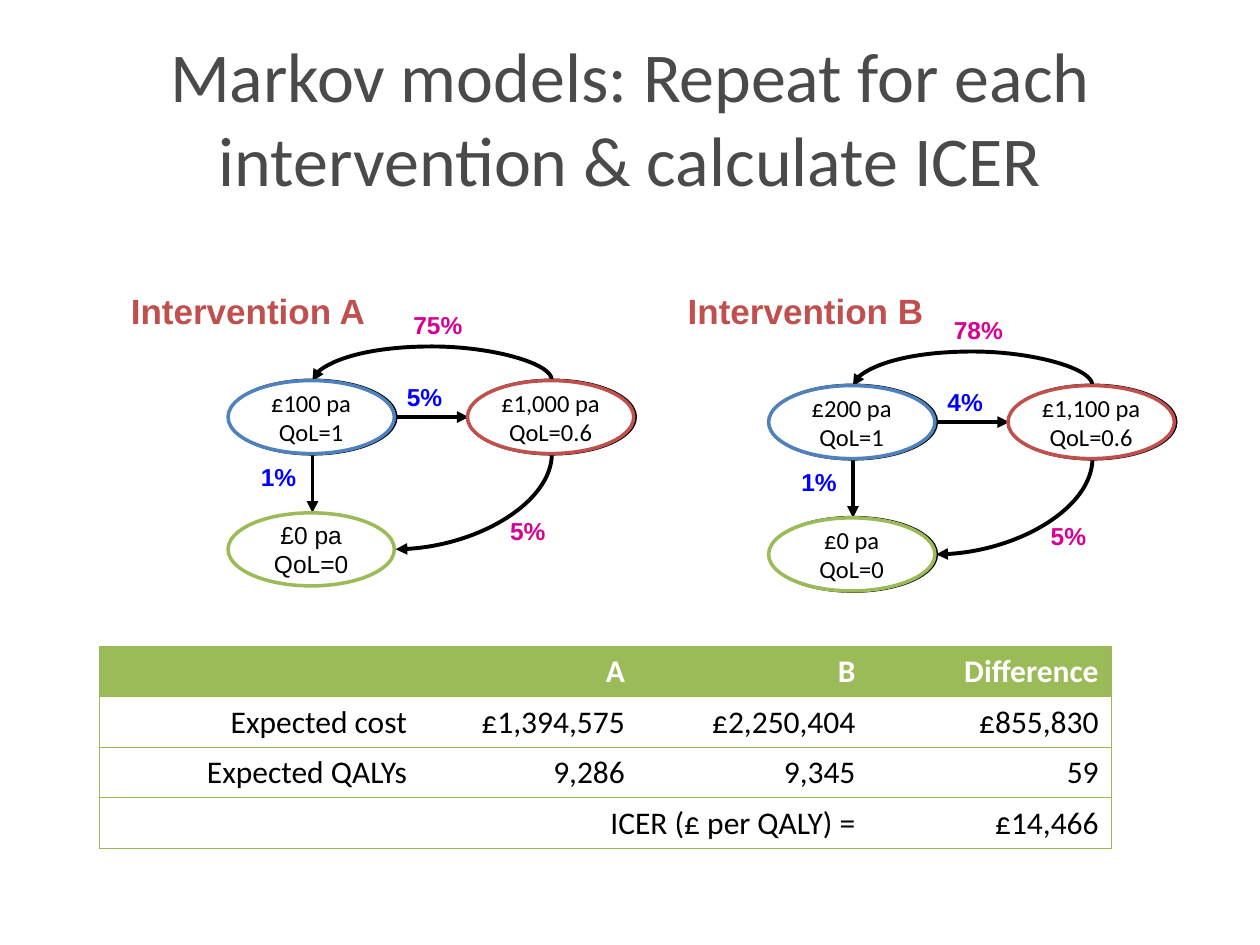
from dataclasses import dataclass
from pptx import Presentation
from pptx.dml.color import RGBColor
from pptx.enum.shapes import MSO_CONNECTOR as Link, MSO_SHAPE as Shape
from pptx.enum.text import MSO_ANCHOR as Anchor, PP_ALIGN as Align
from pptx.oxml import parse_xml
from pptx.oxml.ns import nsdecls, qn
from pptx.util import Inches, Pt


@dataclass(frozen=True)
class Theme:
    """Colours, fonts and type sizes."""
    title: str = "4A4A4A"
    black: str = "000000"
    white: str = "FFFFFF"
    blue: str = "4F81BD"
    red: str = "C0504D"
    green: str = "9BBB59"
    rule: str = "98B954"
    onward: str = "0000FF"
    back: str = "D60093"
    body: str = "Calibri"
    label: str = "Arial"
    big: int = 40
    head: int = 20
    cell: int = 18
    small: int = 14


T = Theme()
TITLE = "Markov models: Repeat for each intervention & calculate ICER"
MODELS = [
    dict(name="Intervention A", at=(1.82, 3.02), head=0.94, dead_font=T.label,
         well="£100 pa\nQoL=1", ill="£1,000 pa\nQoL=0.6", dead="£0 pa\nQoL=0",
         rates=("5%", "1%", "75%", "5%"), rims=("well", "ill")),
    dict(name="Intervention B", at=(6.11, 3.06), head=5.36, dead_font=T.body,
         well="£200 pa\nQoL=1", ill="£1,100 pa\nQoL=0.6", dead="£0 pa\nQoL=0",
         rates=("4%", "1%", "78%", "5%"), rims=("well", "ill", "dead")),
]
OVAL = (1.32, 0.58)
STATES = {"well": (0, 0, T.blue), "ill": (1.9, 0, T.red),
          "dead": (0, 1.05, T.green)}
# Left, top, width, alignment and colour of each rate, from the model's corner
RATES = [(1.31, -0.04, 0.48, Align.CENTER, T.onward),
         (0.15, 0.6, 0.48, Align.RIGHT, T.onward),
         (1.36, -0.61, 0.59, Align.CENTER, T.back),
         (2.13, 1.03, 0.48, Align.LEFT, T.back)]
TABLE = [["", "A", "B", "Difference"],
         ["Expected cost", "£1,394,575", "£2,250,404", "£855,830"],
         ["Expected QALYs", "9,286", "9,345", "59"],
         ["ICER (£ per QALY) =", "", "", "£14,466"]]
COLS, ROW = (2.54, 1.73, 1.83, 1.93), 0.4

deck = Presentation()
deck.slide_width, deck.slide_height = Inches(10), Inches(7.5)
slide = deck.slides.add_slide(deck.slide_layouts[6])
shapes = slide.shapes


def rgb(code):
    """Turn a hex code into a colour."""
    return RGBColor.from_string(code)


def write(frame, text, size=T.small, color=T.black, font=T.body, bold=False,
          align=Align.CENTER, anchor=Anchor.MIDDLE, wrap=None):
    """Fill a text frame with one formatted paragraph."""
    if wrap is not None:
        frame.word_wrap = wrap
    frame.vertical_anchor = anchor
    para = frame.paragraphs[0]
    para.text, para.alignment = text.replace("\n", "\v"), align
    for run in para.runs:
        run.font.size, run.font.name, run.font.bold = Pt(size), font, bold
        run.font.color.rgb = rgb(color)


def label(text, x, y, w, h, **style):
    """Add a text box."""
    box = shapes.add_textbox(*map(Inches, (x, y, w, h)))
    write(box.text_frame, text, **style)


def oval(x, y, line, width, text="", **style):
    """Add a white state ellipse."""
    item = shapes.add_shape(Shape.OVAL, *map(Inches, (x, y, *OVAL)))
    item.shadow.inherit = False
    item.fill.solid()
    item.fill.fore_color.rgb = rgb(T.white)
    item.line.color.rgb, item.line.width = rgb(line), Pt(width)
    if text:
        write(item.text_frame, text, wrap=False, **style)


def arrow(x1, y1, x2, y2, kind=Link.STRAIGHT, form=None, turn=0, bend=None):
    """Add an arrow; form, turn and bend shape a curved one."""
    item = shapes.add_connector(kind, *map(Inches, (x1, y1, x2, y2)))
    item.line.color.rgb, item.line.width = rgb(T.black), Pt(2.25)
    props = item._element.spPr
    line = props.find(qn("a:ln"))
    line.append(parse_xml(f'<a:tailEnd {nsdecls("a")} type="triangle"/>'))
    props.append(parse_xml(f'<a:effectLst {nsdecls("a")}/>'))
    if form:
        props.find(qn("a:xfrm")).set("rot", str(turn * 60000))
        geom = props.find(qn("a:prstGeom"))
        geom.set("prst", form)
    if bend:
        geom.find(qn("a:avLst")).append(parse_xml(
            f'<a:gd {nsdecls("a")} name="adj1" fmla="val {bend}"/>'))


def model(name, at, head, dead_font, rates, rims, **texts):
    """Draw one three-state model with its arrows and rates."""
    x, y = at
    w, h = OVAL
    mid, side = x + w / 2, y + h / 2
    gap, drop = STATES["ill"][0], STATES["dead"][1]
    for key in rims:
        dx, dy, _ = STATES[key]
        oval(x + dx, y + dy, T.black, 2.25)
    arrow(x + w, side, x + gap, side)
    arrow(mid, y + h, mid, y + drop)
    # Turned a quarter, so width and height swap about the centre
    cx, thin = mid + gap / 2, 0.01
    arrow(cx + thin / 2, y + gap / 2, cx - thin / 2, y - gap / 2,
          Link.CURVE, "curvedConnector3", 270, -2700000)
    wide, tall = gap - w / 2, drop - h / 2
    cx, cy = x + w + wide / 2, y + h + tall / 2
    arrow(cx - tall / 2, cy - wide / 2, cx + tall / 2, cy + wide / 2,
          Link.CURVE, "curvedConnector2", 90)
    for text, (dx, dy, wide, align, color) in zip(rates, RATES):
        label(text, x + dx, y + dy, wide, 0.33, color=color, font=T.label,
              bold=True, align=align, wrap=False)
    for key, (dx, dy, color) in STATES.items():
        oval(x + dx - 0.01, y + dy, color, 2, texts[key],
             font=dead_font if key == "dead" else T.body)
    label(name, head, 2.25, 2.07, 0.43, size=T.head, color=T.red, bold=True,
          font=T.label, align=Align.LEFT, anchor=Anchor.TOP, wrap=False)


def edge(cell, sides):
    """Rule the named sides of a cell."""
    props = cell._tc.get_or_add_tcPr()
    for side in sides:
        props.append(parse_xml(
            f'<a:ln{side} {nsdecls("a")} w="9525"><a:solidFill>'
            f'<a:srgbClr val="{T.rule}"/></a:solidFill></a:ln{side}>'))


def results():
    """Add the table of costs, QALYs and the ICER."""
    size = (0.79, 5.13, sum(COLS), ROW * len(TABLE))
    grid = shapes.add_table(len(TABLE), len(COLS), *map(Inches, size)).table
    grid.horz_banding = grid.first_row = False
    style = grid._tbl.tblPr.find(qn("a:tableStyleId"))
    style.text = "{2D5ABB26-0587-4C30-8999-92F81FD0307C}"
    for col, wide in zip(grid.columns, COLS):
        col.width = Inches(wide)
    last = len(COLS) - 1
    for r, row in enumerate(TABLE):
        grid.rows[r].height = Inches(ROW)
        for c, text in enumerate(row):
            cell = grid.cell(r, c)
            edge(cell, "L" * (c == 0) + "R" * (c == last) + "TB")
            if r == 0:
                cell.fill.solid()
                cell.fill.fore_color.rgb = rgb(T.green)
            else:
                cell.fill.background()
            write(cell.text_frame, text, size=T.cell, bold=r == 0,
                  color=T.black if r else T.white, align=Align.RIGHT,
                  anchor=Anchor.TOP)
    end = len(TABLE) - 1
    grid.cell(end, 0).merge(grid.cell(end, last - 1))


label(TITLE, 0.5, 0.3, 9, 1.25, size=T.big, color=T.title, wrap=True)
results()
for data in MODELS:
    model(**data)
deck.save("out.pptx")
